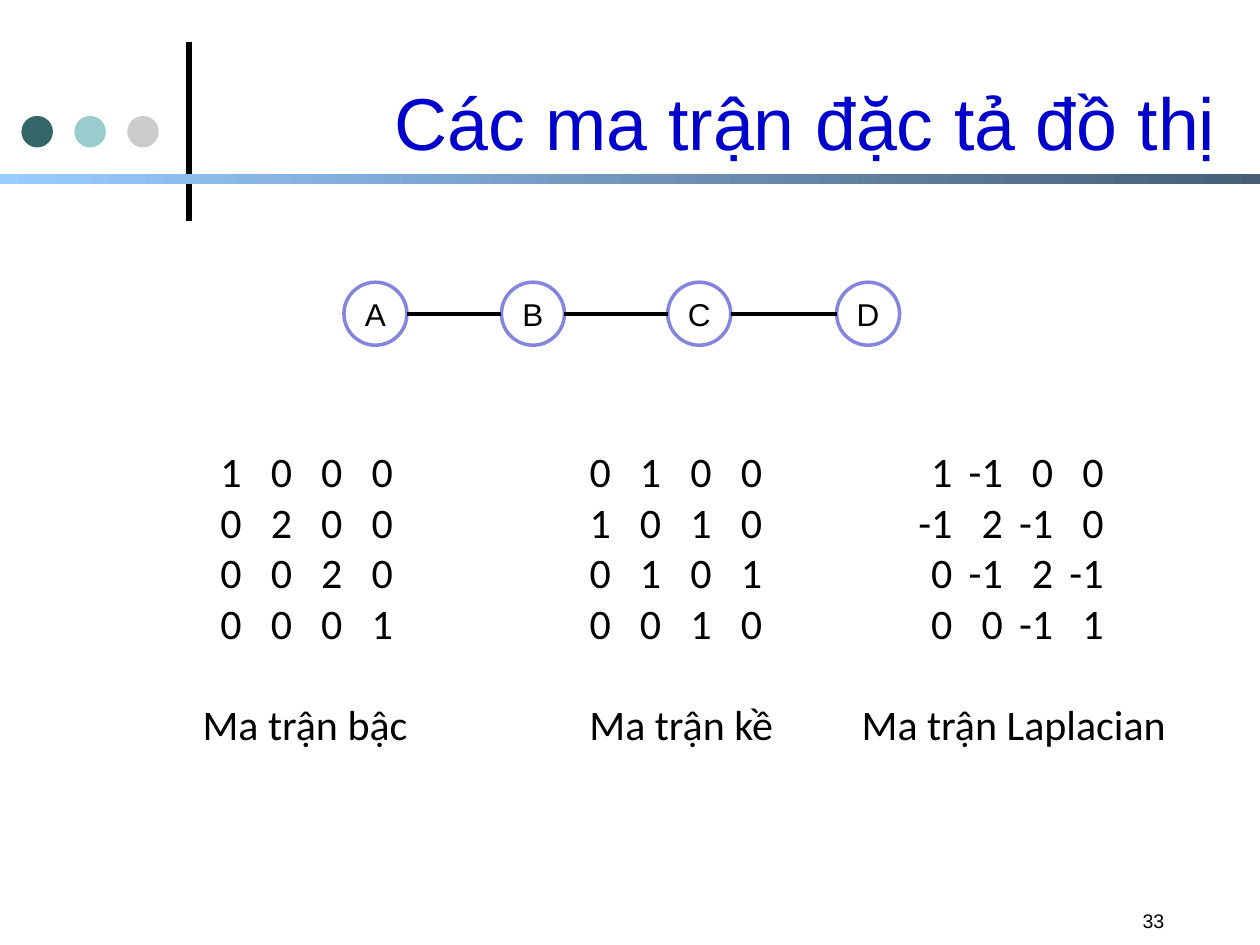
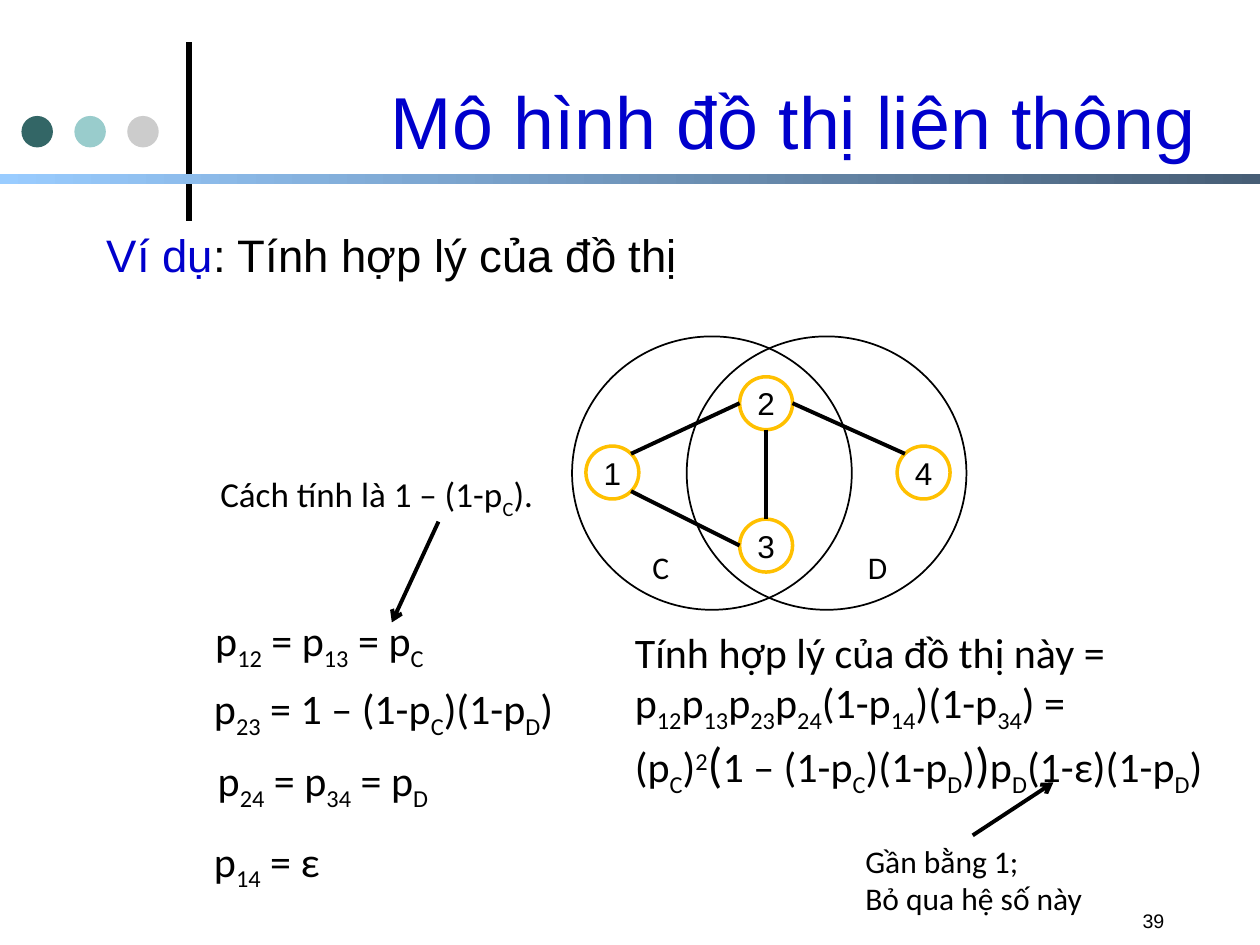
from math import sqrt
from lxml import etree
from pptx import Presentation
from pptx.dml.color import RGBColor
from pptx.enum.shapes import MSO_CONNECTOR, MSO_SHAPE
from pptx.enum.text import MSO_ANCHOR, MSO_AUTO_SIZE, PP_ALIGN
from pptx.oxml.ns import qn
from pptx.util import Inches, Pt

LEFT, MID, RIGHT = PP_ALIGN.LEFT, PP_ALIGN.CENTER, PP_ALIGN.RIGHT
OVAL, RECT = MSO_SHAPE.OVAL, MSO_SHAPE.RECTANGLE
WIDE, HIGH = 10, 7.5
BLUE, BLACK = "0000CC", "000000"
DOTS = ["336666", "99CCCC", "CCCCCC"]
BAND = ["99CCFF", "475E76"]
SANS, BODY = "Arial", "Calibri"

# Chain graph: name and centre x
CHAIN = [("A", 2.98), ("B", 4.23), ("C", 5.55), ("D", 6.89)]
CHAIN_Y, CHAIN_R = 2.49, 0.25

# Matrices: label, box left, box width, first column's right edge, rows
MATS = [
    ("Ma trận bậc", 1.51, 1.93, 0.31,
     [[1, 0, 0, 0], [0, 2, 0, 0], [0, 0, 2, 0], [0, 0, 0, 1]]),
    ("Ma trận kề", 4.58, 1.77, 0.17,
     [[0, 1, 0, 0], [1, 0, 1, 0], [0, 1, 0, 1], [0, 0, 1, 0]]),
    ("Ma trận Laplacian", 6.74, 2.72, 0.72,
     [[1, -1, 0, 0], [-1, 2, -1, 0], [0, -1, 2, -1], [0, 0, -1, 1]]),
]
PITCH = 0.4

# Venn graph: node centres, and edges as node, side, node, side
NODES = {"1": (4.86, 3.75), "2": (6.08, 3.2), "3": (6.08, 4.33), "4": (7.33, 3.75)}
NODE_R = 0.21
D = sqrt(0.5)
SIDES = {"l": (-1, 0), "r": (1, 0), "t": (0, -1), "b": (0, 1),
         "tl": (-D, -D), "tr": (D, -D), "br": (D, D)}
EDGES = [("1", "tr", "2", "l"), ("1", "br", "3", "l"),
         ("2", "b", "3", "t"), ("2", "r", "4", "tl")]
RINGS = [("C", 4.54, 5.08), ("D", 5.45, 6.79)]  # name, ring left, label left

# Formulas: bars enclose a subscript, or ^ superscript, or + large sign
NOTES = [
    (1.61, 4.83, 2.2, 24, ["p|12| = p|13| = p|C|"]),
    (1.6, 5.37, 3.1, 24, ["p|23| = 1 – (1-p|C|)(1-p|D|)"]),
    (1.63, 5.94, 2.2, 24, ["p|24| = p|34| = p|D|"]),
    (1.6, 6.58, 1.4, 24, ["p|14| = ε"]),
    (4.94, 4.92, 5, 24, [
        "Tính hợp lý của đồ thị này =",
        "p|12|p|13|p|23|p|24|(1-p|14|)(1-p|34|) =",
        "(p|C|)|^2||+(|1 – (1-p|C|)(1-p|D|)|+)|p|D|(1-ε)(1-p|D|)"]),
    (6.77, 6.63, 2.1, 18, ["Gần bằng 1;", "Bỏ qua hệ số này"]),
    (1.65, 3.7, 2.9, 20, ["Cách tính là 1 – (1-p|C|)."]),
]
ARROWS = [((7.72, 6.63), (8.36, 6.21)), ((3.48, 4.14), (3.11, 4.94))]


def rgb(code):
    return RGBColor.from_string(code)


def add_run(para, text, size, font=BODY, color=BLACK, base=0):
    run = para.add_run()
    run.text = text
    run.font.size, run.font.name = Pt(size), font
    run.font.color.rgb = rgb(color)
    if base:
        run.font._element.set("baseline", str(base * 1000))


def add_math(para, text, size):
    for i, part in enumerate(text.split("|")):
        if not part:
            continue
        if i % 2 == 0:
            add_run(para, part, size)
        elif part[0] == "^":
            add_run(para, part[1:], size, base=30)
        elif part[0] == "+":
            add_run(para, part[1:], 28)
        else:
            add_run(para, part, size, base=-25)


def add_box(slide, x, y, w, h):
    frame = slide.shapes.add_textbox(Inches(x), Inches(y), Inches(w), Inches(h)).text_frame
    frame.word_wrap = True
    return frame


def next_para(frame, i):
    return frame.add_paragraph() if i else frame.paragraphs[0]


def add_form(slide, kind, x, y, w, h, fill=None, line=None, width=2):
    form = slide.shapes.add_shape(kind, Inches(x), Inches(y), Inches(w), Inches(h))
    form.shadow.inherit = False
    if fill:
        form.fill.solid()
        form.fill.fore_color.rgb = rgb(fill)
    else:
        form.fill.background()
    if line:
        form.line.color.rgb = rgb(line)
        form.line.width = Pt(width)
    else:
        form.line.fill.background()
    return form


def add_node(slide, name, x, y, r, color):
    form = add_form(slide, OVAL, x - r, y - r, 2 * r, 2 * r, line=color)
    frame = form.text_frame
    frame.vertical_anchor = MSO_ANCHOR.MIDDLE
    frame.word_wrap = False
    frame.paragraphs[0].alignment = MID
    add_run(frame.paragraphs[0], name, 18, SANS)


def add_line(slide, start, end, width=2.25, arrow=False):
    line = slide.shapes.add_connector(
        MSO_CONNECTOR.STRAIGHT, *[Inches(v) for v in (*start, *end)])
    line.line.color.rgb = rgb(BLACK)
    line.line.width = Pt(width)
    if arrow:
        etree.SubElement(line.line._get_or_add_ln(), qn("a:tailEnd"), type="arrow")
    etree.SubElement(line._element.spPr, qn("a:effectLst"))


def add_page(deck, title, place, number):
    """Slide with the shared dots, rule, band, title and page number."""
    slide = deck.slides.add_slide(deck.slide_layouts[5])
    add_line(slide, (1.5, 1.75), (1.5, 0.33), 3)
    for i, color in enumerate(DOTS):
        add_form(slide, OVAL, 0.17 + 0.42 * i, 0.92, 0.25, 0.25, color)
    band = add_form(slide, RECT, 0, 1.38, WIDE, 0.08)
    band.fill.gradient()
    band.fill.gradient_angle = 0
    for stop, color in zip(band.fill.gradient_stops, BAND):
        stop.color.rgb = rgb(color)

    head = slide.shapes.title
    head.left, head.top, head.width, head.height = [Inches(v) for v in place]
    frame = head.text_frame
    frame.auto_size = MSO_AUTO_SIZE.NONE
    frame.vertical_anchor = MSO_ANCHOR.MIDDLE
    frame.paragraphs[0].alignment = RIGHT
    add_run(frame.paragraphs[0], title, 42, SANS, BLUE)

    para = add_box(slide, 8.97, 7.2, 0.8, 0.3).paragraphs[0]
    para.line_spacing = 0.8
    add_run(para, number, 11.2, SANS)
    return slide


def add_matrix(slide, label, x, w, first, rows):
    frame = add_box(slide, x, 3.49, w, 2.5)
    for i, row in enumerate(rows):
        para = next_para(frame, i)
        tabs = etree.SubElement(para._p.get_or_add_pPr(), qn("a:tabLst"))
        for col in range(len(row)):
            etree.SubElement(tabs, qn("a:tab"), algn="r",
                             pos=str(Inches(first + PITCH * col)))
        add_run(para, "".join(f"\t{value}" for value in row), 24)
    para = frame.add_paragraph()
    para.alignment = LEFT
    para.space_before = Pt(29)
    add_run(para, label, 24)


def rim(name, side):
    return [c + NODE_R * u for c, u in zip(NODES[name], SIDES[side])]


def main():
    deck = Presentation()
    deck.slide_width, deck.slide_height = Inches(WIDE), Inches(HIGH)

    # Graph and its matrices
    slide = add_page(deck, "Các ma trận đặc tả đồ thị", (1.17, 0.42, 8.58, 1.08), "33")
    for name, x in CHAIN:
        add_node(slide, name, x, CHAIN_Y, CHAIN_R, "8585E0")
    for (_, x), (_, after) in zip(CHAIN, CHAIN[1:]):
        add_line(slide, (x + CHAIN_R, CHAIN_Y), (after - CHAIN_R, CHAIN_Y))
    for mat in MATS:
        add_matrix(slide, *mat)

    # Likelihood example
    slide = add_page(deck, "Mô hình đồ thị liên thông", (1.67, 0.33, 7.92, 1.25), "39")
    frame = add_box(slide, 0.75, 1.74, 8.58, 0.55)
    frame.vertical_anchor = MSO_ANCHOR.MIDDLE
    add_run(frame.paragraphs[0], "Ví dụ", 26, SANS, BLUE)
    add_run(frame.paragraphs[0], ": Tính hợp lý của đồ thị", 26, SANS)
    for name, (x, y) in NODES.items():
        add_node(slide, name, x, y, NODE_R, "FFC000")
    for name, x, spot in RINGS:
        add_form(slide, OVAL, x, 2.67, 2.22, 2.17, line=BLACK, width=1)
        add_run(add_box(slide, spot, 4.3, 0.4, 0.4).paragraphs[0], name, 18)
    for a, out, b, into in EDGES:
        add_line(slide, rim(a, out), rim(b, into))
    for x, y, w, size, lines in NOTES:
        frame = add_box(slide, x, y, w, 0.1 + size / 50 * len(lines))
        for i, text in enumerate(lines):
            add_math(next_para(frame, i), text, size)
    for start, end in ARROWS:
        add_line(slide, start, end, arrow=True)

    deck.save("out.pptx")


if __name__ == "__main__":
    main()
